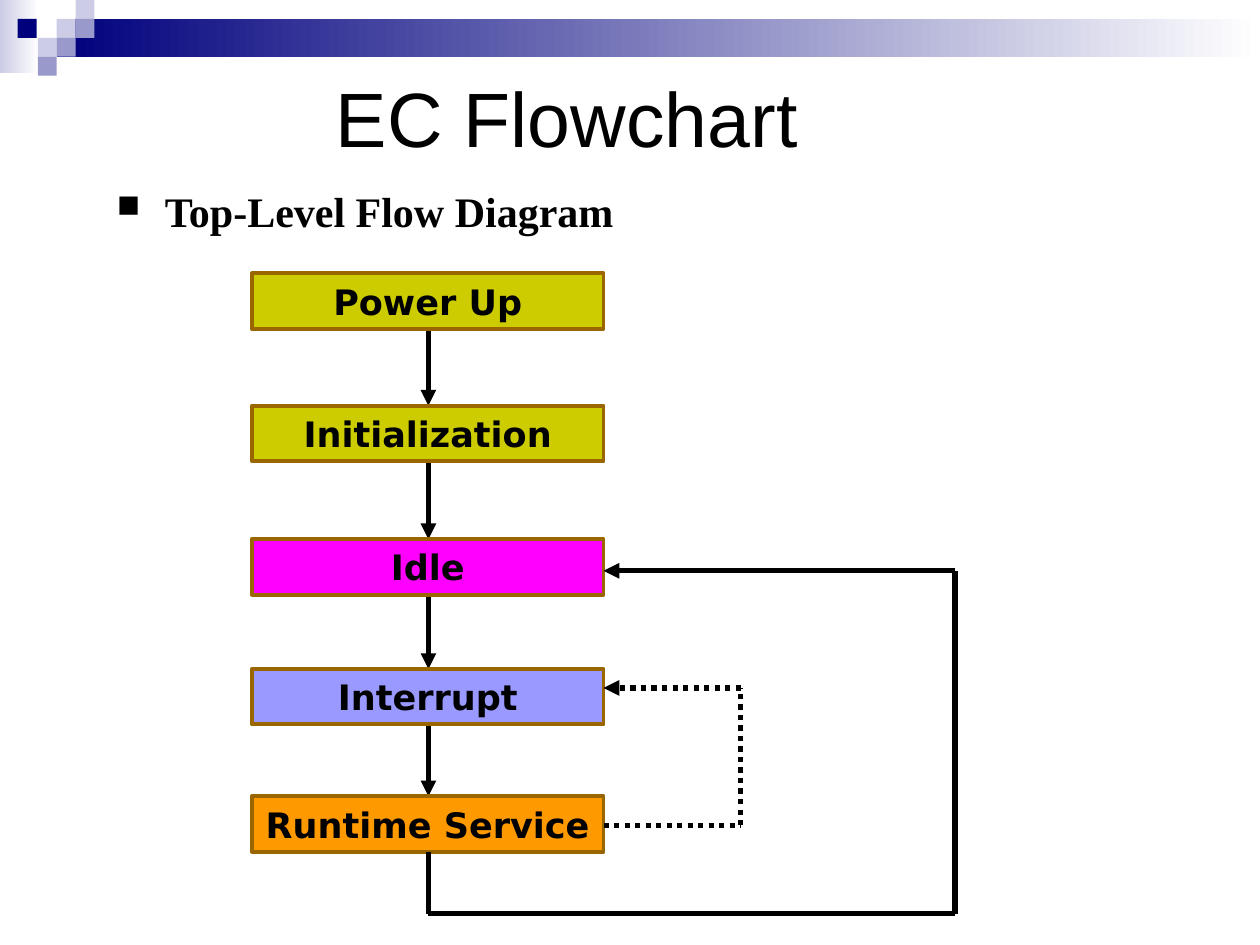
"""Build the EC Flowchart slide."""
from itertools import pairwise

from lxml import etree
from pptx import Presentation
from pptx.dml.color import RGBColor
from pptx.enum.dml import MSO_LINE
from pptx.enum.shapes import MSO_CONNECTOR, MSO_SHAPE
from pptx.enum.text import MSO_ANCHOR, PP_ALIGN
from pptx.oxml.ns import qn
from pptx.util import Inches, Pt

RECTANGLE = MSO_SHAPE.RECTANGLE
STRAIGHT = MSO_CONNECTOR.STRAIGHT
DOTTED = MSO_LINE.ROUND_DOT
CENTER = PP_ALIGN.CENTER
MIDDLE = MSO_ANCHOR.MIDDLE
TITLE_ONLY = 5

COLORS = {
    "black": "000000", "white": "FFFFFF", "navy": "00007D", "pale": "CCCCE6",
    "lavender": "9999CC", "olive": "CCCC00", "magenta": "FF00FF",
    "periwinkle": "9999FF", "orange": "FF9900", "brown": "996600",
}
STEP_LEFT, STEP_WIDTH, STEP_HEIGHT = 2, 2.79, 0.44
STEPS = [
    ("Power Up", 2.17, "olive"),
    ("Initialization", 3.22, "olive"),
    ("Idle", 4.28, "magenta"),
    ("Interrupt", 5.31, "periwinkle"),
    ("Runtime Service", 6.32, "orange"),
]
TILES = [
    (0.45, 0.15, "pale"), (0.6, 0, "pale"), (0.6, 0.15, "lavender"),
    (0.3, 0.3, "pale"), (0.14, 0.15, "navy"), (0.45, 0.3, "lavender"),
    (0.3, 0.45, "lavender"),
]


def color(name):
    """Return the named palette colour."""
    return RGBColor.from_string(COLORS[name])


class FlowSlide:
    """Hold the style and the current slide."""

    def __init__(self, slide):
        """Keep the slide to draw on."""
        self.slide = slide

    def add_text(self, paragraph, text, font, size, bold=False):
        """Add one formatted run to a paragraph."""
        run = paragraph.add_run()
        run.text = text
        run.font.name, run.font.size, run.font.bold = font, Pt(size), bold
        run.font.color.rgb = color("black")

    def title(self, text):
        """Place and fill the title placeholder."""
        shape = self.slide.shapes.title
        shape.left, shape.top = Inches(0), Inches(0.3)
        shape.width, shape.height = Inches(9), Inches(1.25)
        shape.text_frame.vertical_anchor = MIDDLE
        paragraph = shape.text_frame.paragraphs[0]
        paragraph.alignment = CENTER
        self.add_text(paragraph, text, "Arial", 44)

    def bullet(self, text):
        """Add the bulleted heading."""
        shape = self.slide.shapes.add_textbox(
            Inches(0.83), Inches(1.42), Inches(8.42), Inches(0.6))
        shape.text_frame.word_wrap = True
        paragraph = shape.text_frame.paragraphs[0]
        paragraph.space_before = Pt(6)
        properties = paragraph._p.get_or_add_pPr()
        properties.set("marL", str(Inches(0.38)))
        properties.set("indent", str(-Inches(0.38)))
        bullet_color = etree.SubElement(properties, qn("a:buClr"))
        etree.SubElement(bullet_color, qn("a:srgbClr"), val=COLORS["black"])
        etree.SubElement(properties, qn("a:buSzPct"), val="75000")
        etree.SubElement(properties, qn("a:buChar"), char="■")
        self.add_text(paragraph, text, "Times New Roman", 24, bold=True)

    def rectangle(self, left, top, width, height, fill):
        """Add a plain borderless rectangle."""
        shape = self.slide.shapes.add_shape(
            RECTANGLE, Inches(left), Inches(top), Inches(width), Inches(height))
        shape.shadow.inherit = False
        shape.fill.solid()
        shape.fill.fore_color.rgb = color(fill)
        shape.line.fill.background()
        return shape

    def fading_band(self, left, top, width, height, start):
        """Add a rectangle that fades to white on the right."""
        fill = self.rectangle(left, top, width, height, start).fill
        fill.gradient()
        fill.gradient_angle = 0
        for stop, name in zip(fill.gradient_stops, (start, "white")):
            stop.color.rgb = color(name)

    def step(self, text, top, fill):
        """Add one labelled flowchart box."""
        shape = self.rectangle(STEP_LEFT, top, STEP_WIDTH, STEP_HEIGHT, fill)
        shape.line.color.rgb = color("brown")
        shape.line.width = Pt(2.25)
        frame = shape.text_frame
        frame.word_wrap = False
        frame.vertical_anchor = MIDDLE
        frame.paragraphs[0].alignment = CENTER
        self.add_text(frame.paragraphs[0], text, "DejaVu Sans", 20, bold=True)

    def line(self, start, end, arrow=False, dotted=False):
        """Add a straight line, with an arrowhead at its end if asked."""
        connector = self.slide.shapes.add_connector(
            STRAIGHT, *map(Inches, (*start, *end)))
        connector.line.color.rgb = color("black")
        connector.line.width = Pt(3)
        if dotted:
            connector.line.dash_style = DOTTED
        if arrow:
            etree.SubElement(
                connector.line._get_or_add_ln(), qn("a:tailEnd"), type="triangle")
        etree.SubElement(connector._element.spPr, qn("a:effectLst"))

    def route(self, points, dotted=False):
        """Join points with lines and end in an arrowhead."""
        for start, end in pairwise(points):
            self.line(start, end, arrow=end == points[-1], dotted=dotted)


def main():
    """Draw the slide and save it."""
    presentation = Presentation()
    presentation.slide_width, presentation.slide_height = Inches(10), Inches(7.5)
    layout = presentation.slide_layouts[TITLE_ONLY]
    flow = FlowSlide(presentation.slides.add_slide(layout))

    flow.fading_band(0, 0, 0.31, 0.58, "pale")
    flow.fading_band(0.45, 0.15, 9.55, 0.3, "navy")
    for left, top, fill in TILES:
        flow.rectangle(left, top, 0.15, 0.15, fill)
    flow.title("EC Flowchart")
    flow.bullet("Top-Level Flow Diagram")

    middle, right = 3.4, STEP_LEFT + STEP_WIDTH
    tops = [top for _, top, _ in STEPS]
    for top, next_top in pairwise(tops):
        flow.line((middle, top + STEP_HEIGHT), (middle, next_top), arrow=True)
    for text, top, fill in STEPS:
        flow.step(text, top, fill)
    flow.route([(middle, tops[-1] + STEP_HEIGHT), (middle, 7.25),
                (7.58, 7.25), (7.58, 4.53), (right, 4.53)])
    flow.route([(right, 6.55), (5.88, 6.55), (5.88, 5.46), (right, 5.46)],
               dotted=True)
    presentation.save("out.pptx")


if __name__ == "__main__":
    main()
